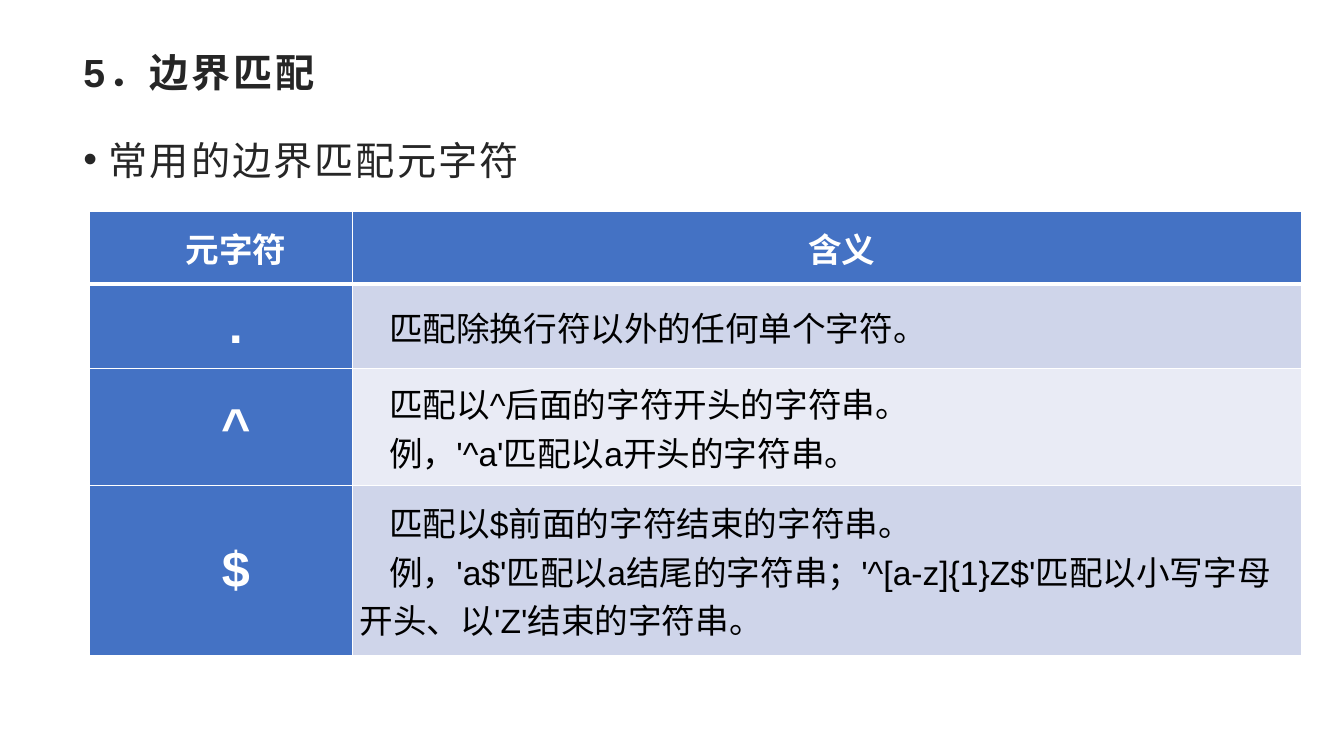
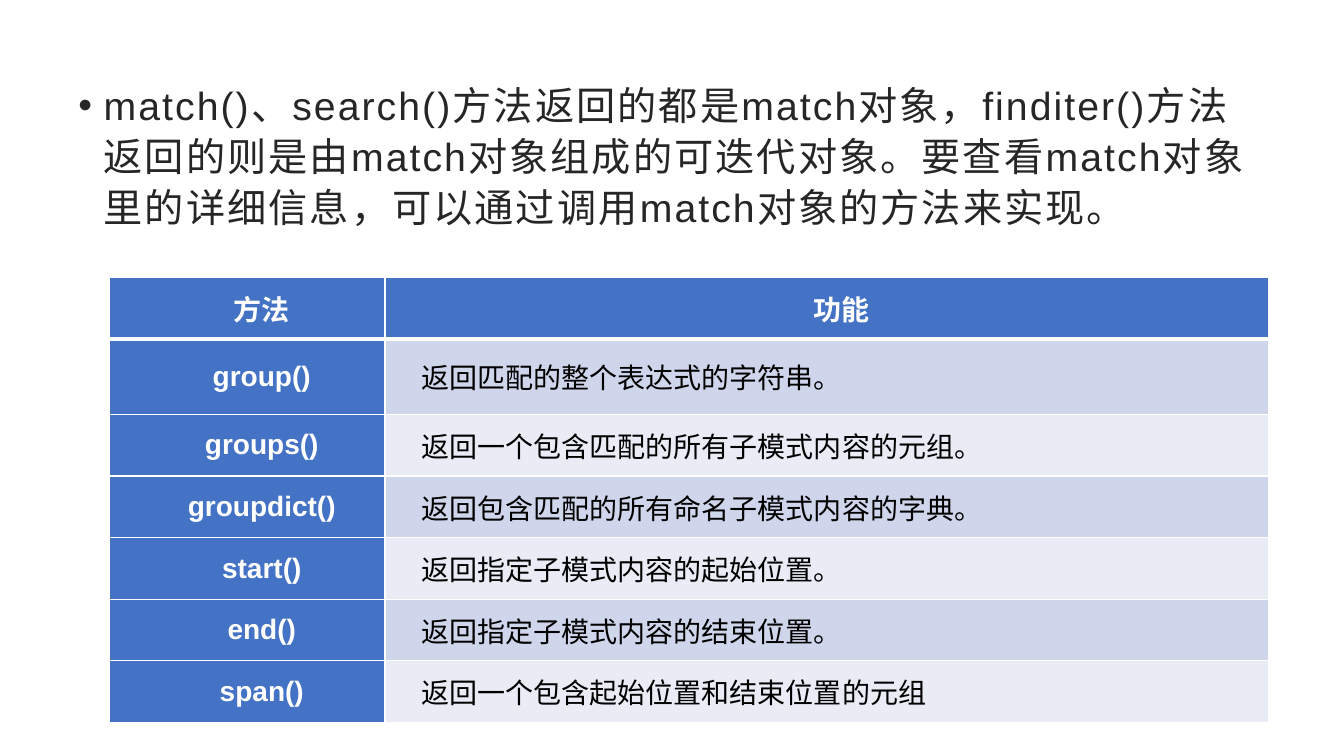
import pptx
import pptx.util
import pptx.dml.color
import pptx.enum.lang
import pptx.enum.text
import pptx.oxml
import pptx.oxml.ns

Pt = pptx.util.Pt
ALIGN = pptx.enum.text.PP_ALIGN
MIDDLE = pptx.enum.text.MSO_ANCHOR.MIDDLE
CHINESE = pptx.enum.lang.MSO_LANGUAGE_ID.SIMPLIFIED_CHINESE
NS = pptx.oxml.ns.nsdecls("a")
BLUE, WHITE, BLACK, DARK = "4472C4", "FFFFFF", "000000", "262626"
BANDS = ["CFD5EA", "E9EBF5"]


def style(para, size, color, bold=False, gap=0):
    for run in para.runs:
        font = run.font
        font.name = "Arial"
        font.size = Pt(size)
        font.bold = bold
        font.language_id = CHINESE
        font.color.rgb = pptx.dml.color.RGBColor.from_string(color)
        if gap:
            font._element.set("spc", str(int(gap * 100)))


pages = [
    {
        "texts": [
            ("5．边界匹配", (52.5, 34.5, 855, 56), 0.9, True),
            ("常用的边界匹配元字符", (52.5, 91.5, 336, 48), 1.06, False),
        ],
        "at": (64, 151),
        "cols": [188, 677.5],
        "rows": [52, 60.5, 83.5, 121],
        "size": 24,
        "key": 36,
        "cells": [
            ("元字符", "含义"),
            (".", "匹配除换行符以外的任何单个字符。"),
            ("^", "匹配以^后面的字符开头的字符串。\n例，'^a'匹配以a开头的字符串。"),
            ("$", "匹配以$前面的字符结束的字符串。\n"
                  "例，'a$'匹配以a结尾的字符串；'^[a-z]{1}Z$'匹配以小写字母开头、以'Z'结束的字符串。"),
        ],
    },
    {
        "texts": [
            ("match()、search()方法返回的都是match对象，finditer()方法返回的则是由match对象组成的可迭代对象。"
             "要查看match对象里的详细信息，可以通过调用match对象的方法来实现。",
             (49, 52, 856, 102), 1.08, False),
        ],
        "at": (78, 198),
        "cols": [197, 631],
        "rows": [44, 54] + [44] * 5,
        "size": 20,
        "key": 20,
        "cells": [
            ("方法", "功能"),
            ("group()", "返回匹配的整个表达式的字符串。"),
            ("groups()", "返回一个包含匹配的所有子模式内容的元组。"),
            ("groupdict()", "返回包含匹配的所有命名子模式内容的字典。"),
            ("start()", "返回指定子模式内容的起始位置。"),
            ("end()", "返回指定子模式内容的结束位置。"),
            ("span()", "返回一个包含起始位置和结束位置的元组"),
        ],
    },
]

deck = pptx.Presentation()
deck.slide_width = Pt(960)
deck.slide_height = Pt(540)

for page in pages:
    slide = deck.slides.add_slide(deck.slide_layouts[6])

    for text, box, space, title in page["texts"]:
        frame = slide.shapes.add_textbox(*map(Pt, box)).text_frame
        frame.word_wrap = True
        frame.text = text
        para = frame.paragraphs[0]
        para.line_spacing = space
        if not title:
            props = para._p.get_or_add_pPr()
            props.set("marL", str(Pt(18)))
            props.set("indent", str(-Pt(18)))
            props.append(pptx.oxml.parse_xml(f'<a:buFont {NS} typeface="Arial"/>'))
            props.append(pptx.oxml.parse_xml(f'<a:buChar {NS} char="•"/>'))
        style(para, 28, DARK, title, 2 if title else 1.5)

    cols, rows = page["cols"], page["rows"]
    left, top = page["at"]
    table = slide.shapes.add_table(
        len(rows), len(cols), Pt(left), Pt(top), Pt(sum(cols)), Pt(sum(rows))
    ).table
    table.first_col = True
    for col, width in zip(table.columns, cols):
        col.width = Pt(width)
    for row, height in zip(table.rows, rows):
        row.height = Pt(height)

    for r, line in enumerate(page["cells"]):
        for c, text in enumerate(line):
            cell = table.cell(r, c)
            head = r == 0 or c == 0
            cell.text_frame.text = text
            cell.vertical_anchor = MIDDLE
            cell.margin_left = cell.margin_right = Pt(5)
            cell.margin_top = cell.margin_bottom = 0
            cell.fill.solid()
            fill = BLUE if head else BANDS[(r - 1) % 2]
            cell.fill.fore_color.rgb = pptx.dml.color.RGBColor.from_string(fill)
            for para in cell.text_frame.paragraphs:
                para.alignment = ALIGN.CENTER if head else ALIGN.LEFT
                para._p.get_or_add_pPr().set("indent", str(Pt(21)))
                size = page["key"] if c == 0 and r else page["size"]
                style(para, size, WHITE if head else BLACK, head)
            props = cell._tc.get_or_add_tcPr()
            for i, side in enumerate("LRTB"):
                thick = (r, side) in [(0, "B"), (1, "T")]
                edge = (f'<a:ln{side} {NS} w="{Pt(3 if thick else 1)}"><a:solidFill>'
                        f'<a:srgbClr val="{WHITE}"/></a:solidFill></a:ln{side}>')
                props.insert(i, pptx.oxml.parse_xml(edge))

deck.save("out.pptx")
